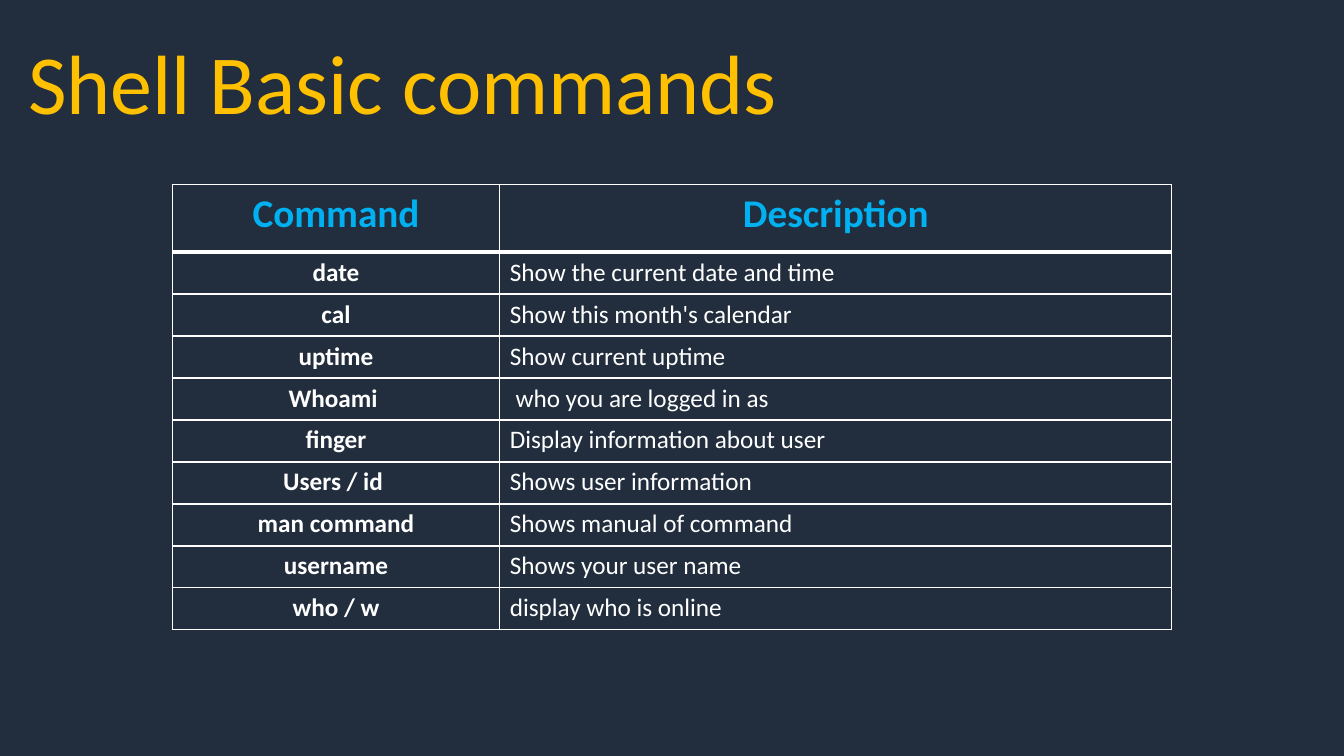
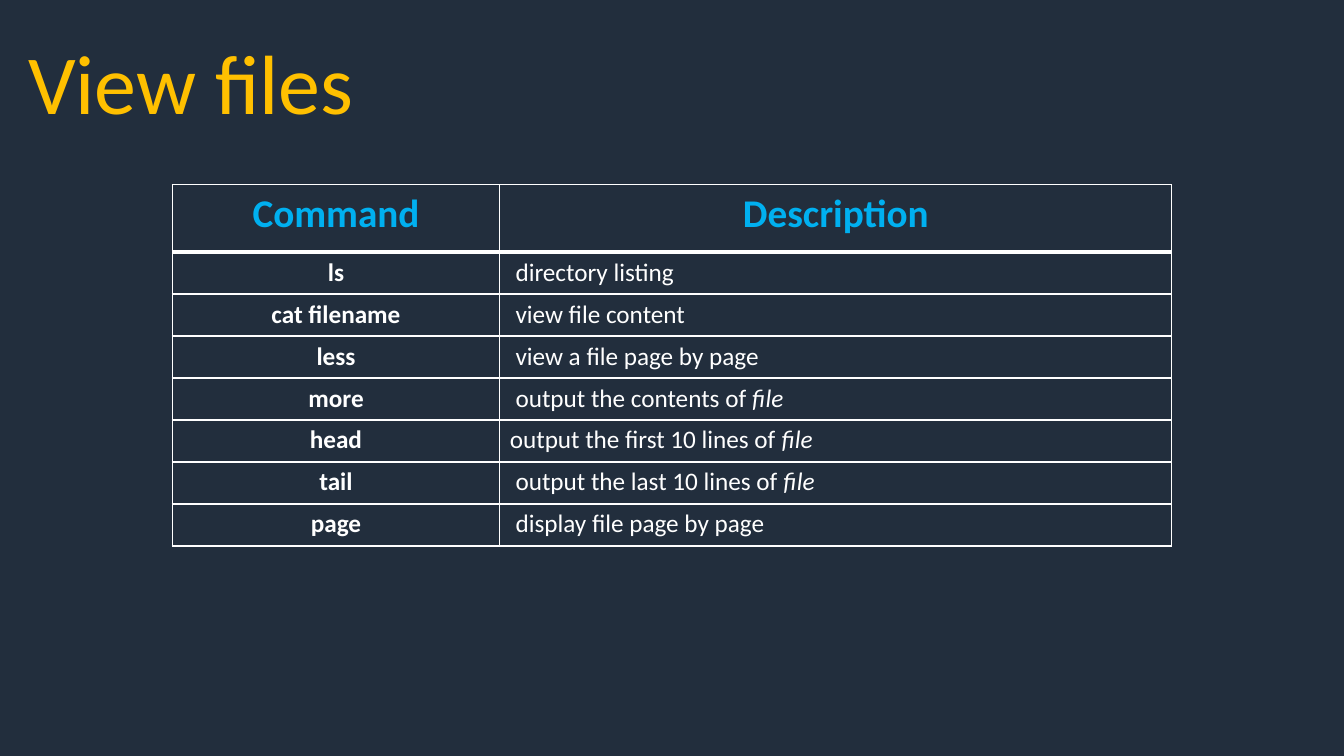
from dataclasses import dataclass
from typing import Any

from lxml.etree import Element, SubElement
from pptx import Presentation
from pptx.dml.color import RGBColor
from pptx.enum.text import MSO_ANCHOR as Anchor, MSO_AUTO_SIZE as AutoSize, PP_ALIGN as Align
from pptx.oxml.ns import qn
from pptx.util import Pt

NAVY = RGBColor(0x22, 0x2E, 0x3D)
GOLD = RGBColor(0xFF, 0xC0, 0x00)
BLUE = RGBColor(0x00, 0xB0, 0xF0)
WHITE = RGBColor(0xFF, 0xFF, 0xFF)

PAGE_WIDTH, PAGE_HEIGHT = Pt(960), Pt(540)
TITLE_BOX = {"left": Pt(0), "top": Pt(18), "width": PAGE_WIDTH, "height": Pt(80)}
TITLE_FRAME = {
    "margin_left": Pt(20),
    "vertical_anchor": Anchor.MIDDLE,
    "auto_size": AutoSize.NONE,
    "word_wrap": True,
}
TABLE_LEFT, TABLE_TOP = Pt(123), Pt(132)
COLUMN_WIDTHS = (Pt(234), Pt(480))
HEADER_HEIGHT, ROW_HEIGHT = Pt(48), Pt(30)
THIN, THICK = Pt(1), Pt(3)

TITLE_FONT = {"name": "Calibri", "size": Pt(60), "bold": False}
HEADER_FONT = {"name": "Calibri", "size": Pt(28), "bold": True}
COMMAND_FONT = {"name": "Calibri", "size": Pt(18), "bold": True}
TEXT_FONT = COMMAND_FONT | {"bold": False}
EMPHASIS_FONT = TEXT_FONT | {"italic": True}


@dataclass(frozen=True)
class Command:
    name: str
    description: str
    emphasis: str = ""


@dataclass(frozen=True)
class CommandPage:
    title: str
    commands: tuple[Command, ...]


PAGES = (
    CommandPage("Shell Basic commands", (
        Command("date", "Show the current date and time"),
        Command("cal", "Show this month's calendar"),
        Command("uptime", "Show current uptime"),
        Command("Whoami ", " who you are logged in as"),
        Command("finger", "Display information about user"),
        Command("Users / id ", "Shows user information"),
        Command("man command", "Shows manual of command"),
        Command("username", "Shows your user name"),
        Command("who / w", "display who is online"),
    )),
    CommandPage("View files", (
        Command("ls", " directory listing"),
        Command("cat filename", " view file content"),
        Command("less", " view a file page by page"),
        Command("more", " output the contents of ", "file"),
        Command("head", "output the first 10 lines of ", "file"),
        Command("tail", " output the last 10 lines of ", "file"),
        Command("page", " display file page by page"),
    )),
)


def apply(target: Any, values: dict[str, Any]) -> None:
    for name, value in values.items():
        setattr(target, name, value)


def add_span(para: Any, text: str, font: dict[str, Any], color: RGBColor) -> None:
    span = para.add_run()
    span.text = text
    apply(span.font, font)
    span.font.color.rgb = color


def set_borders(cell: Any, top: int, bottom: int) -> None:
    """Draw white cell borders; they must come before the fill in the XML."""
    properties = cell._tc.get_or_add_tcPr()
    widths = {"a:lnL": THIN, "a:lnR": THIN, "a:lnT": top, "a:lnB": bottom}
    for index, (tag, width) in enumerate(widths.items()):
        line = Element(qn(tag), w=str(int(width)))
        fill = SubElement(line, qn("a:solidFill"))
        SubElement(fill, qn("a:srgbClr"), val=str(WHITE))
        properties.insert(index, line)


def add_title(page: Any, text: str) -> None:
    frame = page.shapes.title.text_frame
    apply(frame, TITLE_FRAME)
    para = frame.paragraphs[0]
    apply(para, {"alignment": Align.LEFT, "line_spacing": 1.0})
    add_span(para, text, TITLE_FONT, GOLD)


def add_command_table(page: Any, commands: tuple[Command, ...]) -> None:
    height = HEADER_HEIGHT + ROW_HEIGHT * len(commands)
    table = page.shapes.add_table(
        len(commands) + 1, len(COLUMN_WIDTHS), TABLE_LEFT, TABLE_TOP, sum(COLUMN_WIDTHS), height
    ).table
    apply(table, {"first_row": False, "horz_banding": False})
    for column, width in zip(table.columns, COLUMN_WIDTHS):
        column.width = width
    for index, row in enumerate(table.rows):
        row.height = ROW_HEIGHT if index else HEADER_HEIGHT
        for cell in row.cells:
            cell.fill.background()
            set_borders(cell, THICK if index == 1 else THIN, THIN if index else THICK)

    for column, heading in enumerate(("Command", "Description")):
        para = table.cell(0, column).text_frame.paragraphs[0]
        para.alignment = Align.CENTER
        add_span(para, heading, HEADER_FONT, BLUE)
    for index, command in enumerate(commands, start=1):
        name, description = (cell.text_frame.paragraphs[0] for cell in table.rows[index].cells)
        name.alignment = Align.CENTER
        add_span(name, command.name, COMMAND_FONT, WHITE)
        add_span(description, command.description, TEXT_FONT, WHITE)
        if command.emphasis:
            add_span(description, command.emphasis, EMPHASIS_FONT, WHITE)


def main() -> None:
    deck = Presentation()
    apply(deck, {"slide_width": PAGE_WIDTH, "slide_height": PAGE_HEIGHT})
    background = deck.slide_master.background.fill
    background.solid()
    background.fore_color.rgb = NAVY
    layout = deck.slide_layouts.get_by_name("Title Only")
    apply(layout.placeholders[0], TITLE_BOX)
    for content in PAGES:
        page = deck.slides.add_slide(layout)
        add_title(page, content.title)
        add_command_table(page, content.commands)
    deck.save("out.pptx")


if __name__ == "__main__":
    main()
